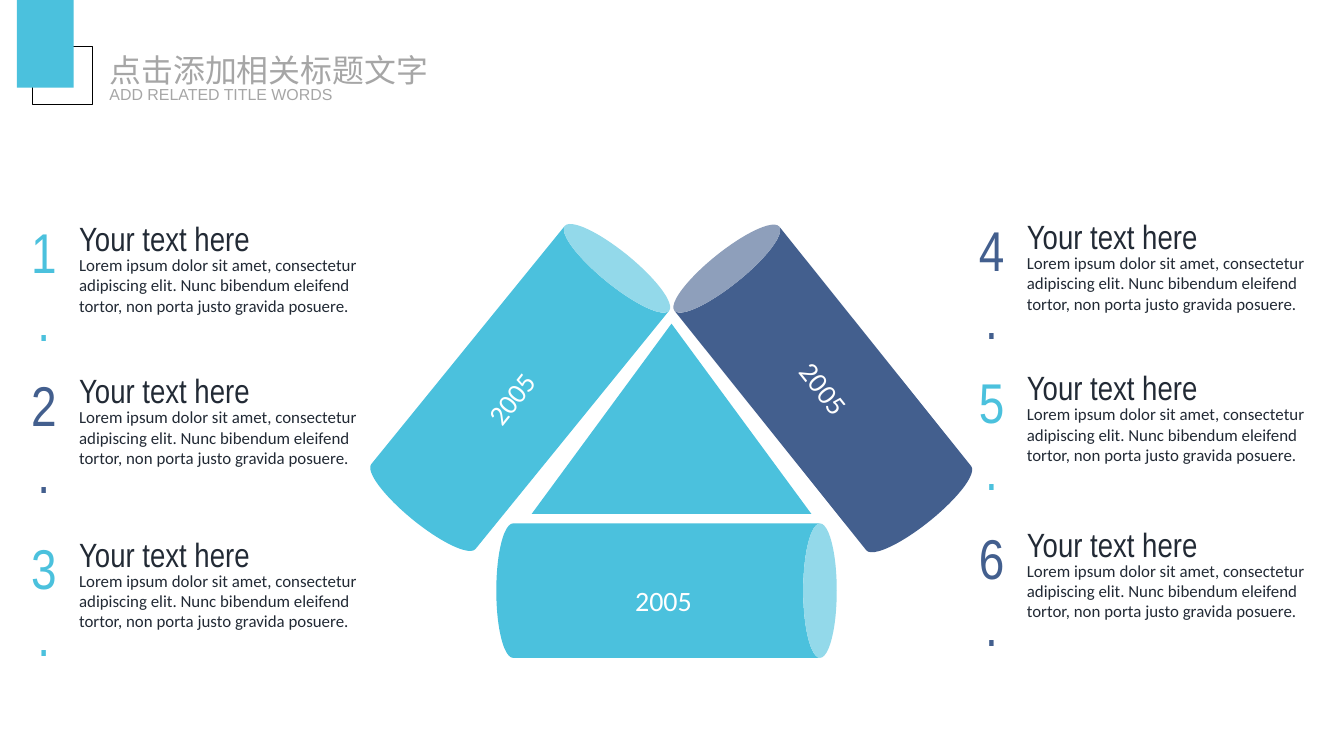
from dataclasses import dataclass
from lxml.etree import SubElement
from pptx import Presentation
from pptx.dml.color import RGBColor
from pptx.enum.shapes import MSO_SHAPE
from pptx.enum.text import MSO_ANCHOR, MSO_AUTO_SIZE, PP_ALIGN
from pptx.oxml.ns import qn
from pptx.util import Pt


@dataclass(frozen=True)
class Theme:
    cyan: str = "4BC1DD"
    navy: str = "435F8E"
    dark: str = "222A35"
    gray: str = "A6A6A6"
    white: str = "FFFFFF"
    black: str = "000000"
    title_font: str = "Noto Sans CJK SC"
    subtitle_font: str = "Arial"
    heading_font: str = "Arial Narrow"
    body_font: str = "Calibri"
    title_size: float = 24
    subtitle_size: float = 12
    number_size: float = 42.2
    heading_size: float = 25.3
    year_size: float = 21.1
    body_size: float = 12.7


THEME = Theme()
PX = 9525
SLIDE_SIZE = (1350, 759)

TITLE = "点击添加相关标题文字"
SUBTITLE = "ADD RELATED TITLE WORDS"
HEADING = "Your text here"
BODY = (
    "Lorem ipsum dolor sit amet, consectetur adipiscing elit. "
    "Nunc bibendum eleifend tortor, non porta justo gravida posuere."
)
YEAR = "2005"

CAN_SIZE = (135, 342)
CANS = [
    ((455, 218), 39.1, THEME.cyan),
    ((759, 219), 321.3, THEME.navy),
    ((602, 422), 90, THEME.cyan),
]
YEAR_SIZE = (205, 44)
YEARS = [((564, 581), 0), ((411, 378), 308.4), ((725, 368), 51.6)]

COLUMNS = [(17, (214, 367, 531)), (969, (212, 364, 521))]
NUMBER_WIDTH, NUMBER_HEIGHT = 54, 146
TEXT_WIDTH, HEADING_HEIGHT, BODY_HEIGHT = 321, 51, 71
BODY_OFFSET = 37


def scaled(box):
    return [value * PX for value in box]


def add_figure(slide, kind, box, fill=None, line=None, rotation=0):
    shape = slide.shapes.add_shape(kind, *scaled(box))
    shape.shadow.inherit = False
    shape.rotation = rotation
    if fill:
        shape.fill.solid()
        shape.fill.fore_color.rgb = RGBColor.from_string(fill)
    else:
        shape.fill.background()
    if line:
        shape.line.color.rgb = RGBColor.from_string(line)
        shape.line.width = Pt(1)
    else:
        shape.line.fill.background()


def write(shape, text, font_name, size, color, align=PP_ALIGN.LEFT):
    frame = shape.text_frame
    frame.text = text
    frame.word_wrap = True
    frame.auto_size = MSO_AUTO_SIZE.SHAPE_TO_FIT_TEXT
    frame.vertical_anchor = MSO_ANCHOR.TOP
    paragraph = frame.paragraphs[0]
    paragraph.alignment = align
    font = paragraph.runs[0].font
    font.name = font_name
    font.size = Pt(size)
    font.color.rgb = RGBColor.from_string(color)


def add_text(slide, box, *style, rotation=0):
    shape = slide.shapes.add_textbox(*scaled(box))
    write(shape, *style)
    shape.rotation = rotation
    return shape


def make_tight(shape):
    frame = shape.text_frame
    frame.word_wrap = False
    frame.margin_left = frame.margin_right = 0
    frame.margin_top = frame.margin_bottom = 0


def add_header(slide):
    add_figure(slide, MSO_SHAPE.RECTANGLE, (33, 47, 60, 58), line=THEME.black)
    add_figure(slide, MSO_SHAPE.RECTANGLE, (17, 0, 57, 88), fill=THEME.cyan)
    title = slide.shapes.title
    title.left, title.top, title.width, title.height = scaled((110, 51, 324, 38))
    write(title, TITLE, THEME.title_font, THEME.title_size, THEME.gray)
    make_tight(title)
    properties = title.text_frame.paragraphs[0].runs[0].font._element
    SubElement(properties, qn("a:ea")).set("typeface", THEME.title_font)
    subtitle = add_text(slide, (110, 85, 227, 19), SUBTITLE,
                        THEME.subtitle_font, THEME.subtitle_size, THEME.gray)
    make_tight(subtitle)


def add_diagram(slide):
    for position, rotation, color in CANS:
        add_figure(slide, MSO_SHAPE.CAN, position + CAN_SIZE, fill=color, rotation=rotation)
    add_figure(slide, MSO_SHAPE.ISOSCELES_TRIANGLE, (534, 325, 281, 191), fill=THEME.cyan)
    for position, rotation in YEARS:
        add_text(slide, position + YEAR_SIZE, YEAR, THEME.body_font, THEME.year_size,
                 THEME.white, PP_ALIGN.CENTER, rotation=rotation)


def add_item(slide, number, left, top):
    color = THEME.cyan if number % 2 else THEME.navy
    text_left = left + NUMBER_WIDTH - 1
    add_text(slide, (text_left, top + BODY_OFFSET, TEXT_WIDTH, BODY_HEIGHT), BODY,
             THEME.body_font, THEME.body_size, THEME.dark)
    add_text(slide, (text_left, top, TEXT_WIDTH, HEADING_HEIGHT), HEADING,
             THEME.heading_font, THEME.heading_size, THEME.dark)
    add_text(slide, (left, top, NUMBER_WIDTH, NUMBER_HEIGHT), f"{number}.",
             THEME.heading_font, THEME.number_size, color, PP_ALIGN.CENTER)


def main():
    presentation = Presentation()
    presentation.slide_width, presentation.slide_height = scaled(SLIDE_SIZE)
    slide = presentation.slides.add_slide(presentation.slide_layouts[5])
    add_diagram(slide)
    places = [(left, top) for left, tops in COLUMNS for top in tops]
    for number, (left, top) in enumerate(places, start=1):
        add_item(slide, number, left, top)
    add_header(slide)
    presentation.save("out.pptx")


if __name__ == "__main__":
    main()
